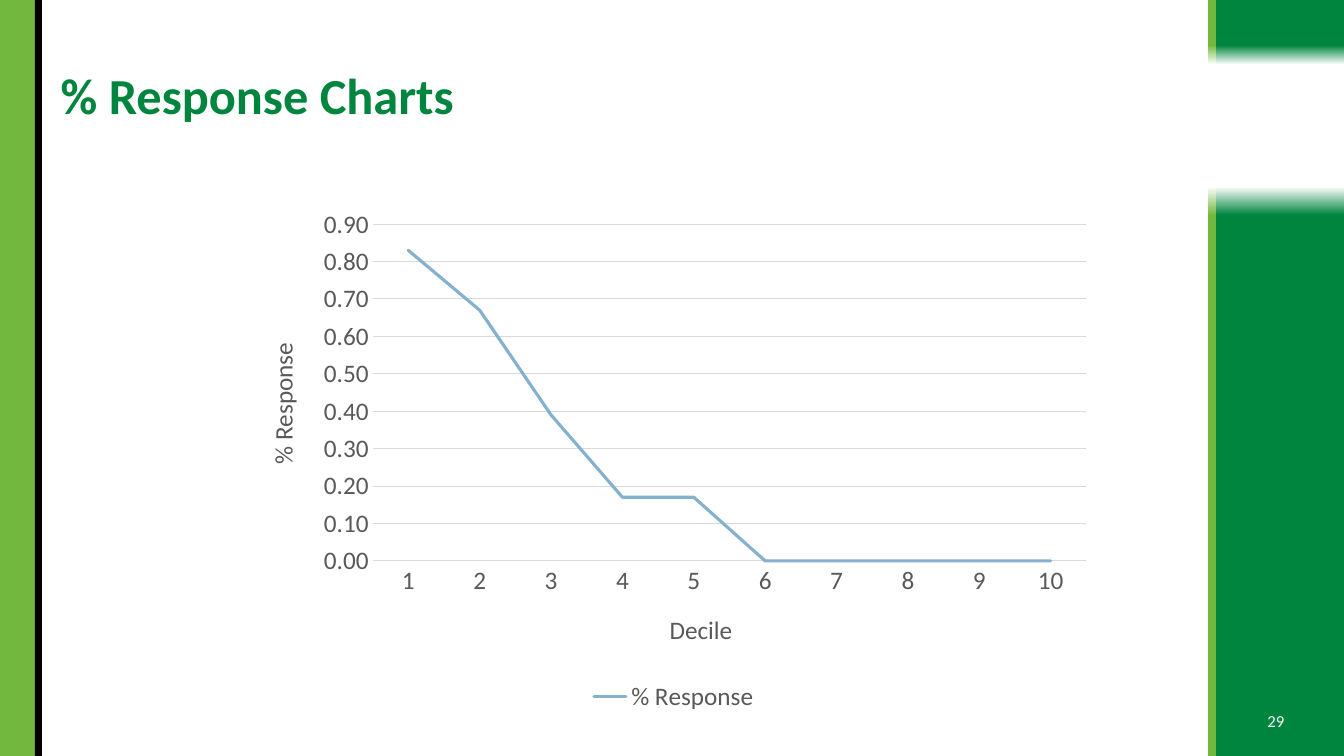
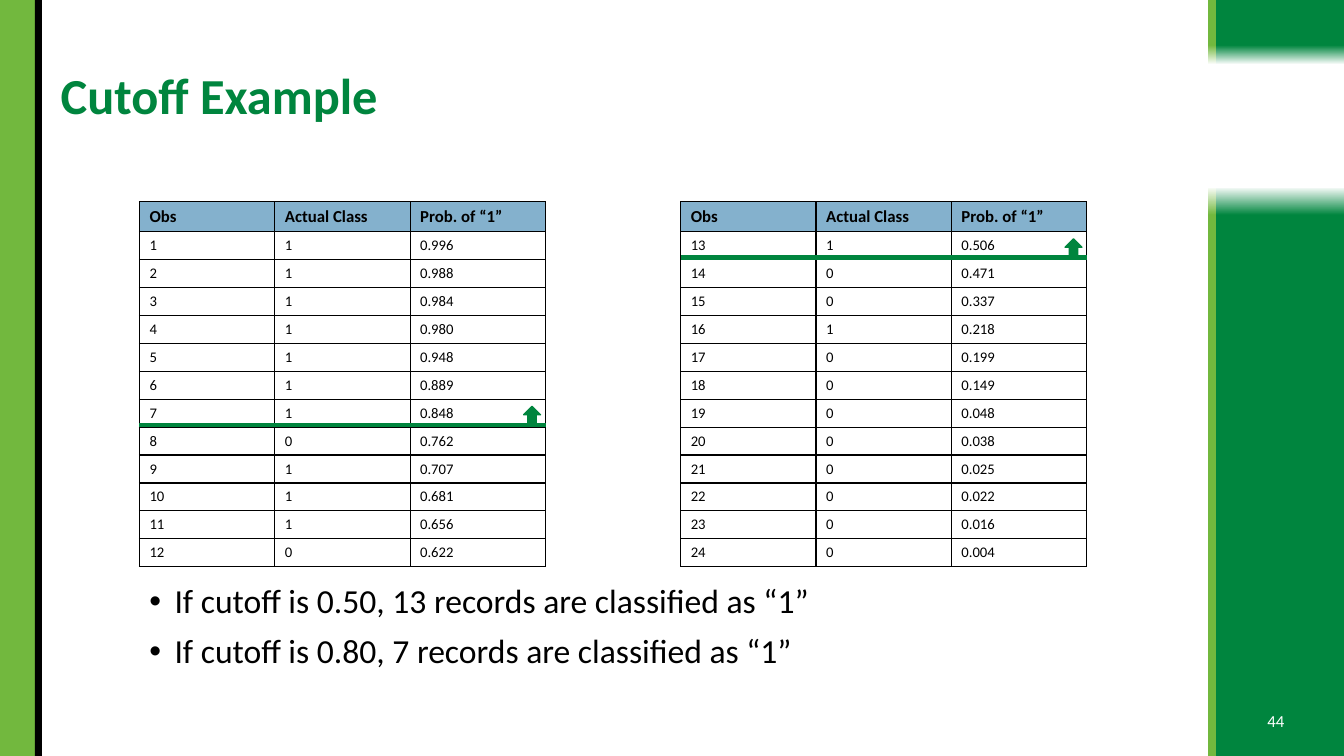
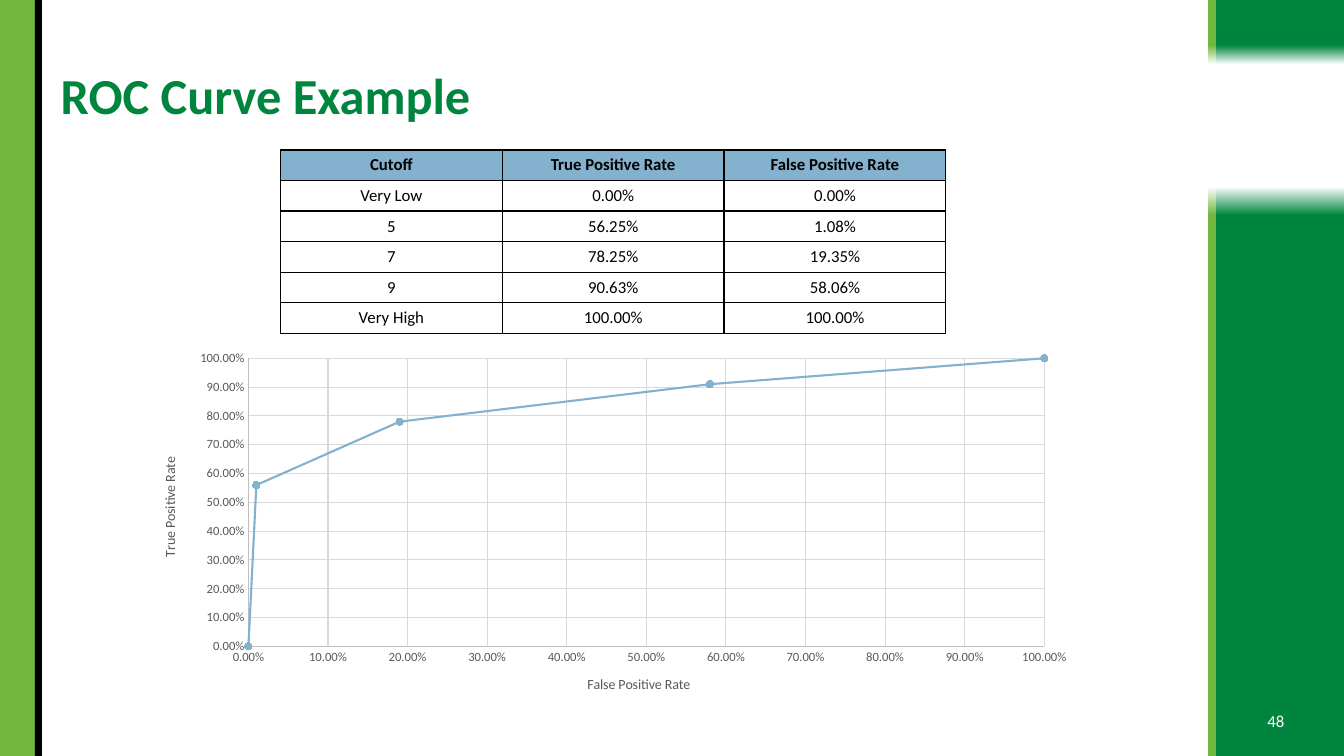
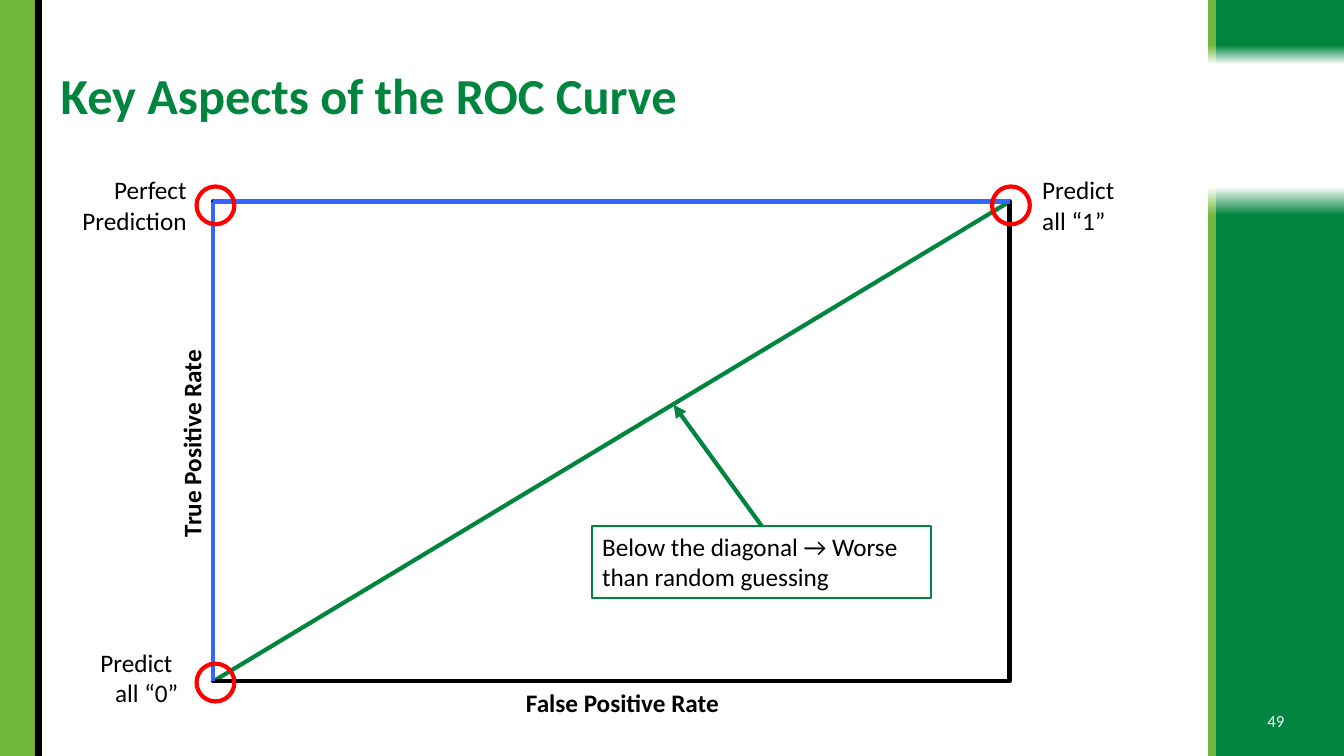
from pptx import Presentation
from pptx.chart.data import CategoryChartData, XyChartData
from pptx.dml.color import RGBColor
from pptx.enum.chart import XL_CHART_TYPE, XL_LEGEND_POSITION, XL_MARKER_STYLE, XL_TICK_MARK
from pptx.enum.shapes import MSO_CONNECTOR, MSO_SHAPE
from pptx.enum.text import MSO_ANCHOR, PP_ALIGN
from pptx.oxml import parse_xml
from pptx.oxml.ns import nsdecls, qn
from pptx.util import Inches, Pt

COLS, ROWS = 160, 90
WIDE, HIGH = Inches(40 / 3), Inches(7.5)
FONT = "Calibri"
HUES = {
    "green": "00853E", "lime": "72B83E", "black": "000000", "white": "FFFFFF",
    "blue": "84B1CD", "royal": "3366FF", "red": "FF0000",
    "gray": "595959", "rule": "D9D9D9", "edge": "BFBFBF",
}
LEFT, SPAN = 16.6, 112.8


def hue(name):
    return RGBColor.from_string(HUES[name])


def across(n):
    return int(n * WIDE / COLS)


def down(n):
    return int(n * HIGH / ROWS)


def place(x, y, w, h):
    return across(x), down(y), across(w), down(h)


def style(font, size, color="black", bold=False):
    font.name, font.size, font.bold = FONT, Pt(size), bold
    font.color.rgb = hue(color)


def stroke(line, color, width):
    line.color.rgb = hue(color)
    line.width = Pt(width)


def write(frame, lines, size, color="black", bold=False, align=PP_ALIGN.LEFT, lead=None):
    for i, words in enumerate(lines):
        para = frame.paragraphs[0] if i == 0 else frame.add_paragraph()
        para.alignment = align
        para.line_spacing = lead
        run = para.add_run()
        run.text = words
        style(run.font, size, color, bold)


def label(slide, spot, lines, size, anchor=MSO_ANCHOR.TOP, turn=0, **look):
    box = slide.shapes.add_textbox(*place(*spot))
    box.rotation = turn
    frame = box.text_frame
    frame.word_wrap = True
    frame.vertical_anchor = anchor
    write(frame, lines, size, **look)
    return frame


def bullets(slide, spot, lines, size):
    frame = label(slide, spot, lines, size, lead=0.9)
    for para in frame.paragraphs:
        para.space_before = Pt(10)
        props = para._p.get_or_add_pPr()
        props.set("marL", str(Inches(0.25)))
        props.set("indent", str(-Inches(0.25)))
        props.append(parse_xml(f'<a:buFont {nsdecls("a")} typeface="Arial"/>'))
        props.append(parse_xml(f'<a:buChar {nsdecls("a")} char="•"/>'))


def shape(slide, kind, spot, fill=None, line=None, width=1):
    item = slide.shapes.add_shape(kind, *place(*spot))
    item.shadow.inherit = False
    if fill:
        item.fill.solid()
        item.fill.fore_color.rgb = hue(fill)
    else:
        item.fill.background()
    if line:
        stroke(item.line, line, width)
    else:
        item.line.fill.background()
    return item


def fade(slide, spot, color, solid, turn):
    band = shape(slide, MSO_SHAPE.RECTANGLE, spot)
    band.rotation = turn
    band.fill.gradient()
    band.fill.gradient_angle = 270
    for stop, (tint, pos) in zip(band.fill.gradient_stops, ((color, solid), ("white", 1))):
        stop.color.rgb = hue(tint)
        stop.position = pos


def link(slide, start, end, color, arrow=False):
    line = slide.shapes.add_connector(
        MSO_CONNECTOR.STRAIGHT,
        across(start[0]), down(start[1]), across(end[0]), down(end[1]))
    stroke(line.line, color, 3)
    if arrow:
        line.line._get_or_add_ln().append(
            parse_xml(f'<a:tailEnd {nsdecls("a")} type="triangle"/>'))
    line._element.spPr.append(parse_xml(f'<a:effectLst {nsdecls("a")}/>'))


def border(cell, sides):
    props = cell._tc.get_or_add_tcPr()
    for side in sides:
        props.append(parse_xml(
            f'<a:ln{side} {nsdecls("a")} w="{Pt(1)}"><a:solidFill>'
            f'<a:srgbClr val="{HUES["black"]}"/></a:solidFill></a:ln{side}>'))


def shrink(cell, size):
    cell.text_frame.paragraphs[0]._p.append(
        parse_xml(f'<a:endParaRPr {nsdecls("a")} sz="{int(size * 100)}"/>'))


def grid(slide, spot, data, size, align=PP_ALIGN.LEFT):
    x, y, w, h = place(*spot)
    table = slide.shapes.add_table(len(data), len(data[0]), x, y, w, h).table
    table.first_row = table.horz_banding = False
    plain = "{2D5ABB26-0587-4C30-8999-92F81FD0307C}"
    table._tbl.tblPr.find(qn("a:tableStyleId")).text = plain
    for r, row in enumerate(data):
        for c, words in enumerate(row):
            cell = table.cell(r, c)
            border(cell, "LRTB" if words else "LR")
            if words and r == 0:
                cell.fill.solid()
                cell.fill.fore_color.rgb = hue("blue")
            else:
                cell.fill.background()
            if words:
                write(cell.text_frame, [words], 12 if r == 0 else size, bold=r == 0, align=align)
            else:
                shrink(cell, size)


def layout(*pos):
    inner = '<c:layoutTarget val="inner"/>' if len(pos) == 4 else ""
    modes = "".join(f'<c:{k}Mode val="edge"/>' for k in "xy")
    sizes = "".join(f'<c:{k} val="{v}"/>' for k, v in zip("xywh", pos))
    return parse_xml(f'<c:layout {nsdecls("c")}><c:manualLayout>'
                     f'{inner}{modes}{sizes}</c:manualLayout></c:layout>')


def pin(node, index, *pos):
    for old in node.findall(qn("c:layout")):
        node.remove(old)
    node.insert(index, layout(*pos))


def axis(item, title, spot, size, small, line, mesh, turn=0):
    frame = item.axis_title.text_frame
    write(frame, [title], size, "gray")
    node = item.axis_title._element
    node.find(".//" + qn("a:bodyPr")).set("rot", str(turn * 60000))
    pin(node, 1, *spot)
    style(item.tick_labels.font, small, "gray")
    item.major_tick_mark = item.minor_tick_mark = XL_TICK_MARK.NONE
    item.has_major_gridlines = mesh
    if mesh:
        stroke(item.major_gridlines.format.line, "rule", 0.75)
    if line:
        stroke(item.format.line, line, 0.75)
    else:
        item.format.line.fill.background()


def scale(item, top, form):
    item.minimum_scale, item.maximum_scale, item.major_unit = 0, top, 0.1
    item.tick_labels.number_format = form
    item.tick_labels.number_format_is_linked = False


def graph(slide, kind, spot, data, size, area, width):
    chart = slide.shapes.add_chart(kind, *place(*spot), data).chart
    style(chart.font, size)
    chart.has_title = chart.has_legend = False
    pin(chart._chartSpace.find(".//" + qn("c:plotArea")), 0, *area)
    plot = chart.plots[0]
    plot.vary_by_categories = False
    line = plot.series[0]
    line.smooth = False
    stroke(line.format.line, "blue", width)
    line.format.line._get_or_add_ln().set("cap", "rnd")
    return chart, line


def page(deck, title, number):
    slide = deck.slides.add_slide(deck.slide_layouts[6])
    for x, w, color in ((144.7, 15.3, "green"), (143.8, 1, "lime")):
        fade(slide, (x, 0, w, 7.7), color, 0.7, 0)
        fade(slide, (x, 22.2, w, 67.8), color, 0.95, 180)
    for x, w, color in ((0, 4.2, "lime"), (4.15, 0.85, "black")):
        shape(slide, MSO_SHAPE.RECTANGLE, (x, 0, w, ROWS), color)
    label(slide, (6.05, 4.8, 136.8, 13.9), [title], 36, MSO_ANCHOR.MIDDLE,
          color="green", bold=True, lead=0.9)
    label(slide, (148.8, 83.4, 6.2, 4.8), [str(number)], 12, MSO_ANCHOR.MIDDLE,
          color="white", align=PP_ALIGN.CENTER)
    return slide


def response(deck):
    slide = page(deck, "% Response Charts", 29)
    data = CategoryChartData()
    data.categories = [str(n) for n in range(1, 11)]
    data.add_series("% Response", [0.83, 0.67, 0.39, 0.17, 0.17] + [0] * 5)
    chart, _ = graph(slide, XL_CHART_TYPE.LINE, (29, 23.6, 102.4, 61.7), data, 18,
                     (0.15, 0.05, 0.83, 0.65), 2.25)
    axis(chart.category_axis, "Decile", (0.49, 0.79), 18, 18, "rule", False)
    axis(chart.value_axis, "% Response", (0.02, 0.27), 18, 18, None, True, -90)
    scale(chart.value_axis, 0.9, "#,##0.00")
    chart.has_legend = True
    chart.legend.position = XL_LEGEND_POSITION.BOTTOM
    chart.legend.include_in_layout = False
    style(chart.legend.font, 18, "gray")


def cutoff(deck):
    slide = page(deck, "Cutoff Example", 44)
    bullets(slide, (LEFT, 69, SPAN, 12.1), [
        "If cutoff is 0.50, 13 records are classified as “1”",
        "If cutoff is 0.80, 7 records are classified as “1”"], 24)
    marks = "111111101110" "100100000000"
    odds = ("0.996 0.988 0.984 0.980 0.948 0.889 0.848 0.762 0.707 0.681 0.656 0.622 "
            "0.506 0.471 0.337 0.218 0.199 0.149 0.048 0.038 0.025 0.022 0.016 0.004").split()
    cases = [[str(n), *pair] for n, pair in enumerate(zip(marks, odds), 1)]
    head = ["Obs", "Actual Class", "Prob. of “1”"]
    half = len(cases) // 2
    data = [head + [""] + head]
    data += [a + [""] + b for a, b in zip(cases[:half], cases[half:])]
    top, tall = 24, 43.2
    grid(slide, (LEFT, top, SPAN, tall), data, 10.5)
    step, col = tall / len(data), SPAN / 7
    for first, row in ((4, 1), (0, 7)):
        x, y = LEFT + first * col, top + (row + 1) * step
        end = x + 3 * col
        link(slide, (x, y), (end, y), "green")
        shape(slide, MSO_SHAPE.UP_ARROW, (end - 2.6, y - 2.2, 2, 2.2), "green", "green")


def curve(deck):
    slide = page(deck, "ROC Curve Example", 48)
    head = ["Cutoff", "True Positive Rate", "False Positive Rate"]
    rows = [
        ["Very Low", "0.00%", "0.00%"],
        ["5", "56.25%", "1.08%"],
        ["7", "78.25%", "19.35%"],
        ["9", "90.63%", "58.06%"],
        ["Very High", "100.00%", "100.00%"],
    ]
    grid(slide, (33.4, 17.85, 79.2, 21.85), [head] + rows, 12, PP_ALIGN.CENTER)
    data = XyChartData()
    series = data.add_series("Series 1")
    for x, y in ((0, 0), (0.01, 0.56), (0.19, 0.78), (0.58, 0.91), (1, 1)):
        series.add_data_point(x, y)
    chart, line = graph(slide, XL_CHART_TYPE.XY_SCATTER_LINES, (LEFT, 40.9, SPAN, 44), data, 10,
                        (0.115, 0.04, 0.84, 0.78), 1.5)
    line.marker.style, line.marker.size = XL_MARKER_STYLE.CIRCLE, 5
    line.marker.format.fill.solid()
    line.marker.format.fill.fore_color.rgb = hue("blue")
    stroke(line.marker.format.line, "blue", 0.75)
    axis(chart.category_axis, head[2], (0.47, 0.89), 10, 9, "edge", True)
    axis(chart.value_axis, head[1], (0.02, 0.3), 10, 9, "edge", True, -90)
    for item in (chart.category_axis, chart.value_axis):
        scale(item, 1, "0.00%")


def aspects(deck):
    slide = page(deck, "Key Aspects of the ROC Curve", 49)
    x, y, w, h = 25.4, 24, 94.8, 57.1
    low, high, far = (x, y + h), (x, y), (x + w, y)
    link(slide, low, far, "green")
    shape(slide, MSO_SHAPE.RECTANGLE, (x, y, w, h), line="black", width=3)
    link(slide, low, high, "royal")
    link(slide, high, far, "royal")
    for left, top in ((23.4, 79), (23.4, 22.2), (118.1, 22.2)):
        shape(slide, MSO_SHAPE.OVAL, (left, top, 4.5, 4.5), line="red", width=3)
    for left, top, lines, align in (
            (3, 76.45, ["Predict ", "all “0”"], PP_ALIGN.RIGHT),
            (4, 20.2, ["Perfect", "Prediction"], PP_ALIGN.RIGHT),
            (122.9, 20.2, ["Predict", "all “1”"], PP_ALIGN.LEFT)):
        label(slide, (left, top, 19.4, 8.5), lines, 18, align=align)
    for left, top, words, turn in (
            (8.75, 50.4, "True Positive Rate", 270), (60.05, 81.2, "False Positive Rate", 0)):
        label(slide, (left, top, 28.1, 4.8), [words], 18, turn=turn,
              bold=True, align=PP_ALIGN.CENTER)
    note = shape(slide, MSO_SHAPE.RECTANGLE, (70.5, 62.65, 40.3, 8.5), line="green", width=1.5)
    note.text_frame.word_wrap = True
    note.text_frame.vertical_anchor = MSO_ANCHOR.TOP
    write(note.text_frame, ["Below the diagonal → Worse than random guessing"], 18)
    link(slide, (90.7, 62.65), (80.2, 48.2), "green", arrow=True)


def main():
    deck = Presentation()
    deck.slide_width, deck.slide_height = WIDE, HIGH
    for build in (response, cutoff, curve, aspects):
        build(deck)
    deck.save("out.pptx")


if __name__ == "__main__":
    main()
